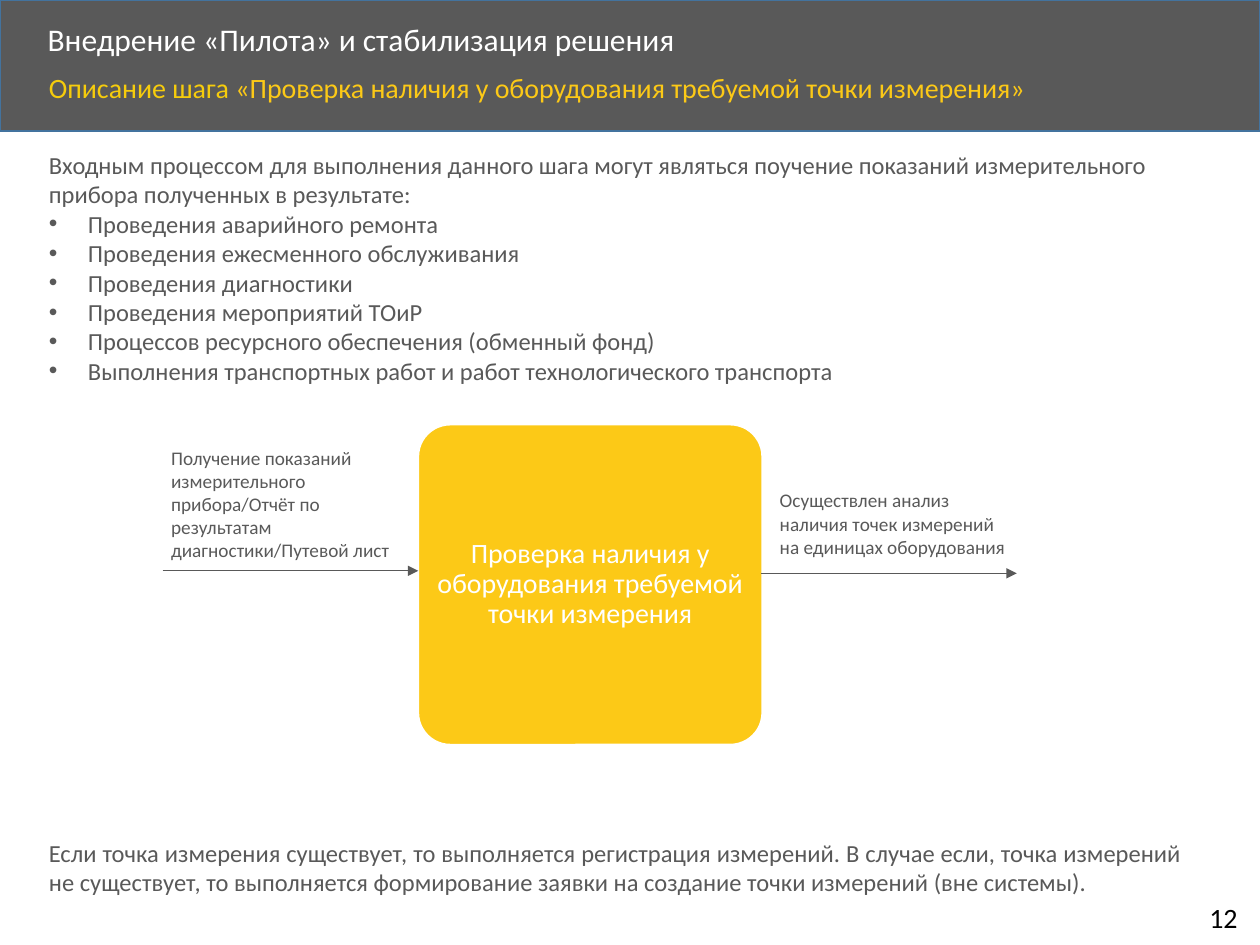
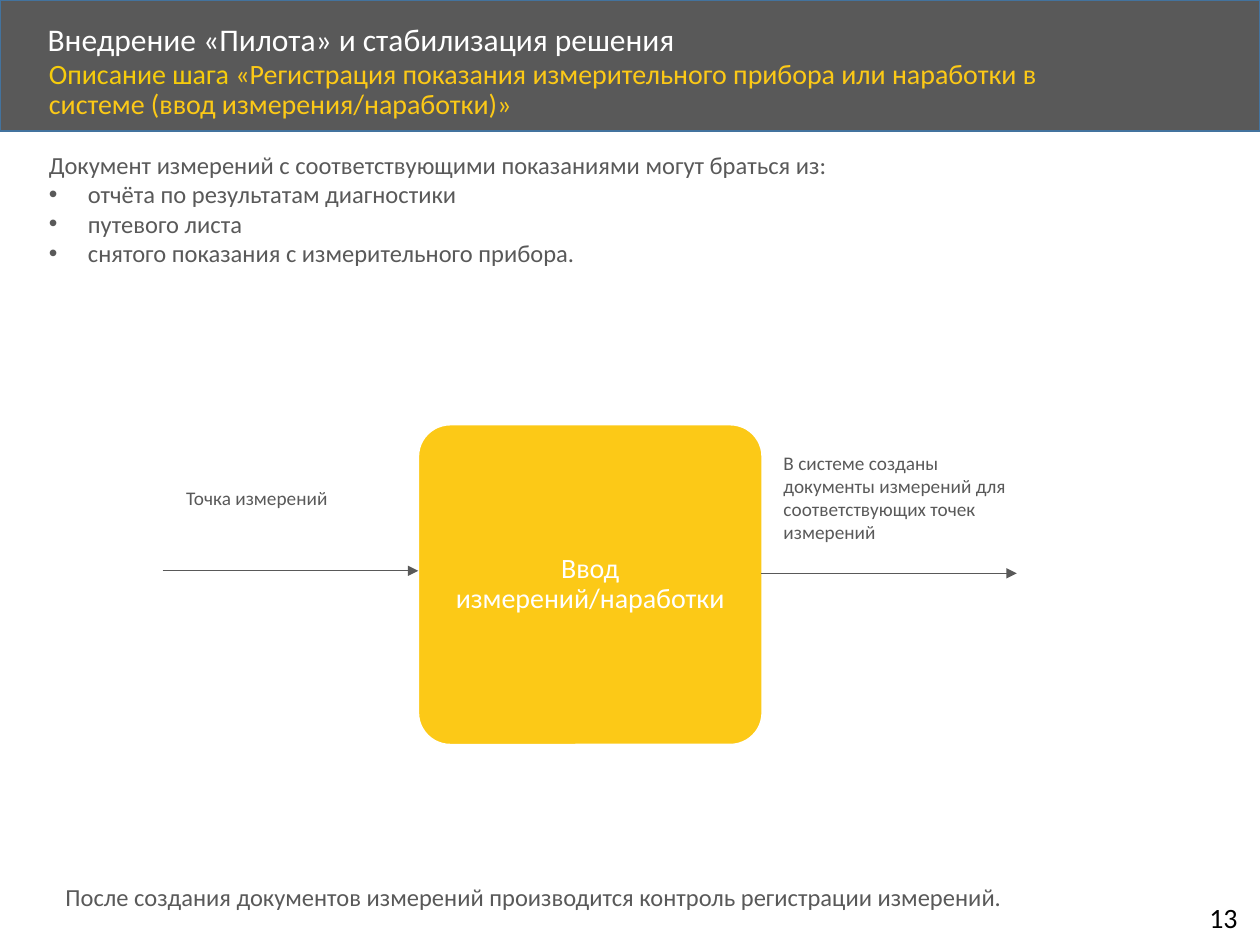
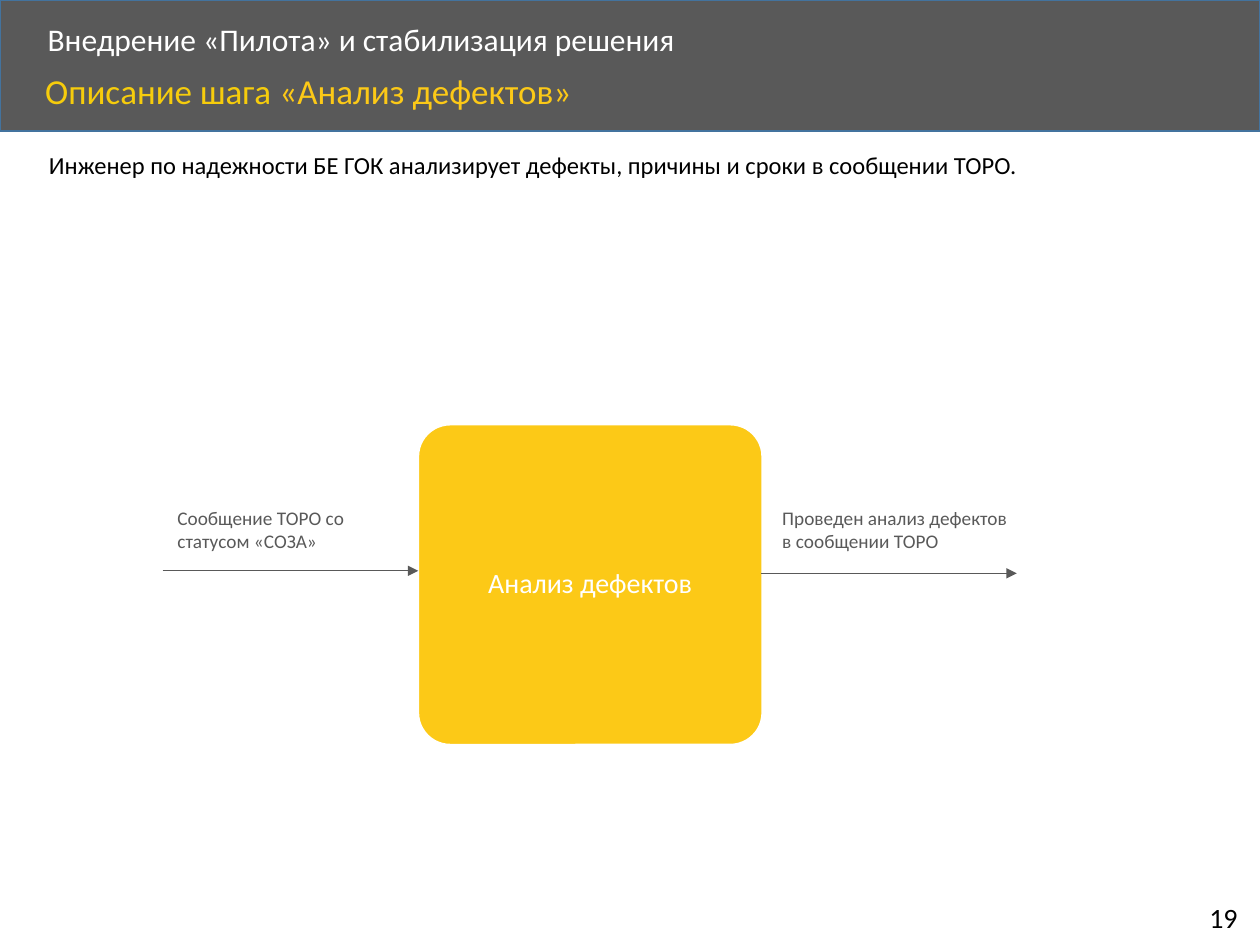
from lxml import etree
from pptx import Presentation
from pptx.dml.color import RGBColor
from pptx.enum.shapes import MSO_CONNECTOR, MSO_SHAPE
from pptx.enum.text import MSO_ANCHOR, PP_ALIGN
from pptx.oxml.ns import qn
from pptx.util import Inches, Pt

# Enum members
RECT = MSO_SHAPE.RECTANGLE
ROUNDED = MSO_SHAPE.ROUNDED_RECTANGLE
STRAIGHT = MSO_CONNECTOR.STRAIGHT
TOP, MIDDLE = MSO_ANCHOR.TOP, MSO_ANCHOR.MIDDLE
LEFT, CENTER, JUSTIFY = PP_ALIGN.LEFT, PP_ALIGN.CENTER, PP_ALIGN.JUSTIFY

# Shared style
FONT = "Calibri"
GREY = RGBColor(0x59, 0x59, 0x59)
BAND_EDGE = RGBColor(0x43, 0x73, 0x9E)
GOLD = RGBColor(0xF6, 0xCC, 0x0C)
YELLOW = RGBColor(0xFC, 0xC9, 0x17)
WHITE = RGBColor(0xFF, 0xFF, 0xFF)
BLACK = RGBColor(0, 0, 0)

SECTION = "Внедрение «Пилота» и стабилизация решения"
SUBTITLE_LEAD = "Описание шага "
BULLET_INDENT = Inches(0.31)
LABEL_WIDTH = 2
ARROW_LENGTH = 2.03

# Content: places are (left, top) or (left, top, width, height) in inches
STEPS = [
    {
        "number": "12",
        "subtitle": "«Проверка наличия у оборудования требуемой точки измерения»",
        "subtitle_at": (0.29, 0.54),
        "intro": "Входным процессом для выполнения данного шага могут являться поучение "
                 "показаний измерительного прибора полученных в результате:",
        "bullets": [
            "Проведения аварийного ремонта",
            "Проведения ежесменного обслуживания",
            "Проведения диагностики",
            "Проведения мероприятий ТОиР",
            "Процессов ресурсного обеспечения (обменный фонд)",
            "Выполнения транспортных работ и работ технологического транспорта",
        ],
        "step": "Проверка наличия у оборудования требуемой точки измерения",
        "input": ("Получение показаний измерительного прибора/Отчёт по результатам "
                  "диагностики/Путевой лист", (1.26, 3.49), 1.03),
        "output": ("Осуществлен анализ наличия точек измерений на единицах оборудования",
                   (6.09, 3.83), 0.66),
        "note": ("Если точка измерения существует, то выполняется регистрация измерений. "
                 "В случае если, точка измерений не существует, то выполняется "
                 "формирование заявки на создание точки измерений (вне системы).",
                 (0.29, 6.6, 9.19, 0.57)),
    },
    {
        "number": "13",
        "subtitle": "«Регистрация показания измерительного прибора или наработки "
                    "в системе (ввод измерения/наработки)»",
        "subtitle_at": (0.29, 0.43),
        "intro": "Документ измерений с соответствующими показаниями могут браться из:",
        "bullets": [
            "отчёта по результатам диагностики",
            "путевого листа",
            "снятого показания с измерительного прибора.",
        ],
        "step": "Ввод измерений/наработки",
        "input": ("Точка измерений", (1.38, 3.81), 0.29),
        "output": ("В системе созданы документы измерений для соответствующих точек "
                   "измерений", (6.12, 3.53), 0.84),
        "note": ("После создания документов измерений производится контроль "
                 "регистрации измерений.", (0.42, 6.95, 9.19, 0.34)),
    },
    {
        "number": "19",
        "subtitle": "«Анализ дефектов»",
        "subtitle_at": (0.26, 0.54),
        "subtitle_size": 20,
        "intro": "Инженер по надежности БЕ ГОК анализирует дефекты, причины и сроки "
                 "в сообщении ТОРО.",
        "intro_color": BLACK,
        "step": "Анализ дефектов",
        "input": ("Сообщение ТОРО со статусом «СОЗА»", (1.31, 3.97), 0.47),
        "output": ("Проведен анализ дефектов в сообщении ТОРО", (6.11, 3.97), 0.47),
    },
]


def write(frame, text, size=14, color=GREY, align=LEFT, anchor=TOP, spacing=None,
          lead=None, lead_color=None, bullets=()):
    """Fill a text frame: a first paragraph with an optional lead run, then bullets."""
    frame.word_wrap = True
    frame.vertical_anchor = anchor
    for index, line in enumerate([text, *bullets]):
        paragraph = frame.paragraphs[0] if index == 0 else frame.add_paragraph()
        paragraph.alignment = align
        if spacing:
            paragraph.line_spacing = spacing
        runs = [(line, color)]
        if index:
            add_bullet(paragraph)
        elif lead:
            runs.insert(0, (lead, lead_color))
        for words, ink in runs:
            run = paragraph.add_run()
            run.text = words
            run.font.name = FONT
            run.font.size = Pt(size)
            run.font.color.rgb = ink


def add_bullet(paragraph):
    properties = paragraph._p.get_or_add_pPr()
    properties.set("marL", str(BULLET_INDENT))
    properties.set("indent", str(-BULLET_INDENT))
    etree.SubElement(properties, qn("a:buFont"), typeface="Arial")
    etree.SubElement(properties, qn("a:buChar"), char="•")


def add_text(slide, place, text, **style):
    box = slide.shapes.add_textbox(*map(Inches, place))
    write(box.text_frame, text, **style)


def add_panel(slide, kind, place, fill, edge):
    panel = slide.shapes.add_shape(kind, *map(Inches, place))
    panel.shadow.inherit = False
    panel.fill.solid()
    panel.fill.fore_color.rgb = fill
    panel.line.color.rgb = edge
    panel.line.width = Pt(1)
    return panel


def add_arrow(slide, left, y):
    arrow = slide.shapes.add_connector(
        STRAIGHT, *map(Inches, (left, y, left + ARROW_LENGTH, y)))
    arrow.line.color.rgb = GREY
    arrow.line.width = Pt(0.5)
    etree.SubElement(arrow.line._get_or_add_ln(), qn("a:tailEnd"), type="triangle")
    etree.SubElement(arrow._element.spPr, qn("a:effectLst"))


def add_header(slide, step):
    add_panel(slide, RECT, (0, 0, 10, 1.04), GREY, BAND_EDGE)
    add_text(slide, (0.28, 0.14, 8.07, 0.38), SECTION,
             size=18, color=WHITE, anchor=MIDDLE, spacing=0.9)
    add_text(slide, (*step["subtitle_at"], 8.66, 0.45), step["subtitle"],
             size=step.get("subtitle_size", 16), color=YELLOW, spacing=0.9,
             lead=SUBTITLE_LEAD, lead_color=GOLD)


def add_flow(slide, step):
    """Input arrow, step block and output arrow with their labels."""
    block = add_panel(slide, ROUNDED, (3.32, 3.37, 2.73, 2.54), YELLOW, WHITE)
    block.adjustments[0] = 0.1
    frame = block.text_frame
    frame.margin_left = frame.margin_right = 0
    write(frame, step["step"], size=16, color=WHITE, align=CENTER,
          anchor=MIDDLE, spacing=0.9)
    add_arrow(slide, 1.29, 4.53)
    add_arrow(slide, 6.04, 4.55)
    for label, corner, height in (step["input"], step["output"]):
        add_text(slide, (*corner, LABEL_WIDTH, height), label, size=11)


def add_step_slide(deck, step):
    slide = deck.slides.add_slide(deck.slide_layouts[6])
    add_header(slide, step)
    bullets = step.get("bullets", [])
    add_text(slide, (0.29, 1.14, 9.46, 0.34 + 0.24 * len(bullets)), step["intro"],
             color=step.get("intro_color", GREY), bullets=bullets)
    add_flow(slide, step)
    if "note" in step:
        note, place = step["note"]
        add_text(slide, place, note, align=JUSTIFY)
    # Page number
    add_text(slide, (9.5, 7.1, 0.46, 0.37), step["number"], size=16, color=BLACK)


def main():
    deck = Presentation()
    deck.slide_width, deck.slide_height = Inches(10), Inches(7.5)
    for step in STEPS:
        add_step_slide(deck, step)
    deck.save("out.pptx")


if __name__ == "__main__":
    main()
